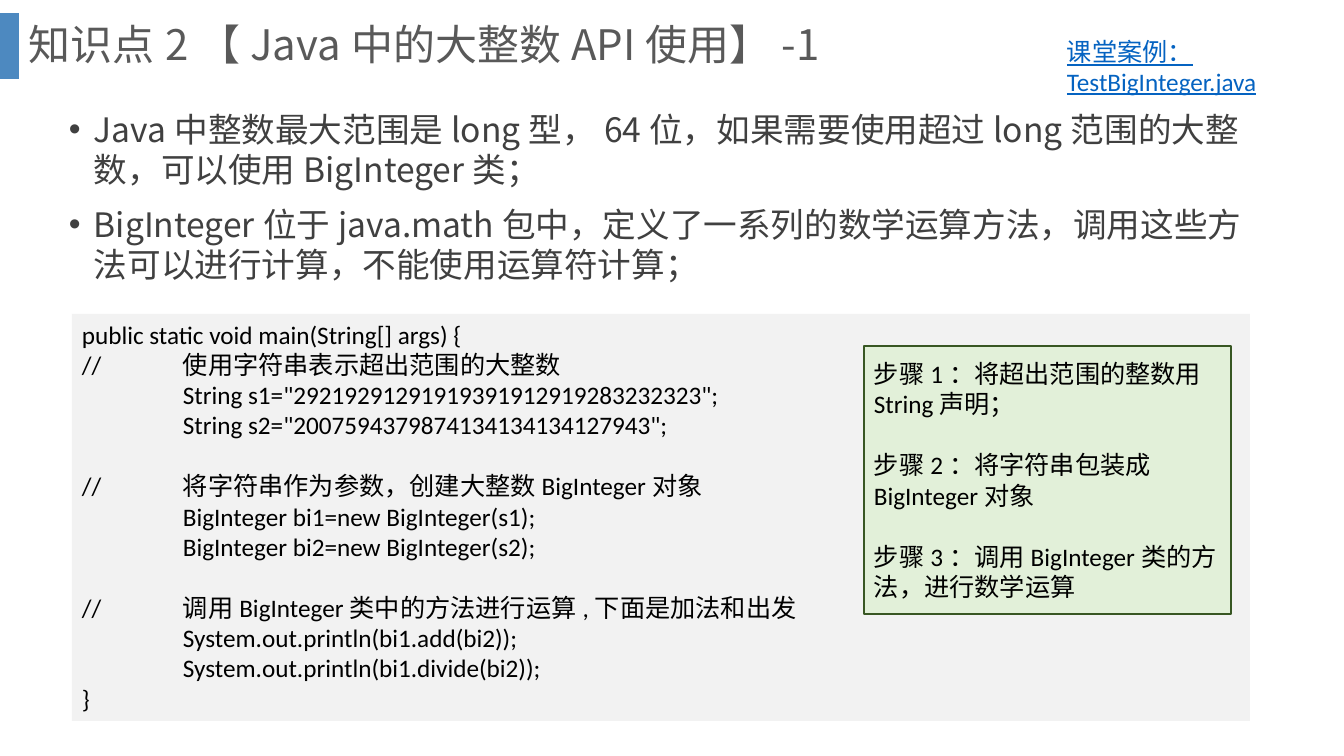
from pptx import Presentation
from pptx.dml.color import RGBColor
from pptx.enum import shapes, text
from pptx.oxml import ns, xmlchemy
from pptx.util import Pt

TITLE = "知识点2【Java中的大整数API使用】-1"
POINTS = [
    "Java中整数最大范围是long型，64位，如果需要使用超过long范围的大整数，可以使用BigInteger类；",
    "BigInteger位于java.math包中，定义了一系列的数学运算方法，调用这些方法可以进行计算，不能使用运算符计算；",
]
CODE_BLOCKS = [
    [
        "public static void main(String[] args) {",
        "//\t使用字符串表示超出范围的大整数",
        "\tString s1=\"29219291291919391912919283232323\";",
        "\tString s2=\"2007594379874134134134127943\";",
    ],
    [
        "//\t将字符串作为参数，创建大整数BigInteger对象",
        "\tBigInteger bi1=new BigInteger(s1);",
        "\tBigInteger bi2=new BigInteger(s2);",
    ],
    [
        "//\t调用BigInteger类中的方法进行运算,下面是加法和出发",
        "\tSystem.out.println(bi1.add(bi2));",
        "\tSystem.out.println(bi1.divide(bi2));",
        "}",
    ],
]
STEPS = [
    ["步骤1：将超出范围的整数用String声明；"],
    ["步骤2：将字符串包装成BigInteger对象"],
    ["步骤3：调用BigInteger类的方法，进行数学运算"],
]
EXAMPLE = "课堂案例：TestBigInteger.java"

# Boxes in px: left, top, width, height
SLIDE = (1344, 756)
ACCENT_BOX = (0, 13, 19, 66)
TITLE_BOX = (19, 0, 1276, 94)
POINTS_BOX = (59, 104, 1215, 194)
CODE_BOX = (72, 314, 1178, 407)
EXAMPLE_BOX = (1057, 31, 230, 72)
STEPS_BOX = (864, 346, 367, 268)
BULLET_INDENT = 25
CODE_TAB = 101

ACCENT = RGBColor(0x2E, 0x75, 0xB6)
ACCENT_ALPHA = 85
TITLE_GRAY = RGBColor(0x59, 0x59, 0x59)
BODY_GRAY = RGBColor(0x40, 0x40, 0x40)
BLACK = RGBColor(0, 0, 0)
LINK_BLUE = RGBColor(0x05, 0x63, 0xC1)
CODE_FILL = RGBColor(0xF2, 0xF2, 0xF2)
STEPS_FILL = RGBColor(0xE2, 0xF0, 0xD9)
STEPS_LINE = RGBColor(0x38, 0x57, 0x23)

CJK_FONT = "Noto Sans CJK SC"
LATIN_FONT = "Calibri"
BLOCK_GAP = Pt(22)


def px(n):
    return round(n * 914400 / 100.8)


def add_child(parent, tag, **attrs):
    child = xmlchemy.OxmlElement(tag)
    for name, value in attrs.items():
        child.set(name, str(value))
    parent.append(child)
    return child


def add_rect(slide, box, fill, line=None):
    sp = slide.shapes.add_shape(shapes.MSO_SHAPE.RECTANGLE, *map(px, box))
    sp.shadow.inherit = False
    sp.fill.solid()
    sp.fill.fore_color.rgb = fill
    if line is None:
        sp.line.fill.background()
    else:
        sp.line.color.rgb = line
        sp.line.width = Pt(1)
    return sp


def add_textbox(slide, box):
    return slide.shapes.add_textbox(*map(px, box))


def write(sp, lines, size, color, font=LATIN_FONT, anchor=text.MSO_ANCHOR.TOP):
    """Put one left-aligned paragraph per line into sp; return the paragraphs."""
    tf = sp.text_frame
    tf.word_wrap = True
    tf.vertical_anchor = anchor
    for i, line in enumerate(lines):
        p = tf.paragraphs[0] if i == 0 else tf.add_paragraph()
        p.alignment = text.PP_ALIGN.LEFT
        r = p.add_run()
        r.text = line
        r.font.size = Pt(size)
        r.font.name = font
        r.font.color.rgb = color
        add_child(r.font._element, "a:ea", typeface=CJK_FONT)
    return tf.paragraphs


def write_blocks(sp, blocks, **style):
    """Write blocks of lines with one line's gap between; return the paragraphs."""
    lines = [line for block in blocks for line in block]
    paragraphs = write(sp, lines, 18, BLACK, **style)
    start = 0
    for block in blocks[:-1]:
        start += len(block)
        paragraphs[start].space_before = BLOCK_GAP
    return paragraphs


def add_bullet(p):
    p_pr = p._p.get_or_add_pPr()
    p_pr.set("marL", str(px(BULLET_INDENT)))
    p_pr.set("indent", str(-px(BULLET_INDENT)))
    add_child(p_pr, "a:buFont", typeface="Arial")
    add_child(p_pr, "a:buChar", char="•")


def add_tab_stop(p, position):
    tabs = add_child(p._p.get_or_add_pPr(), "a:tabLst")
    add_child(tabs, "a:tab", pos=px(position), algn="l")


def main():
    prs = Presentation()
    prs.slide_width, prs.slide_height = map(px, SLIDE)
    slide = prs.slides.add_slide(prs.slide_layouts[6])

    accent = add_rect(slide, ACCENT_BOX, ACCENT)
    color = accent.fill._xPr.find(ns.qn("a:solidFill"))[0]
    add_child(color, "a:alpha", val=ACCENT_ALPHA * 1000)

    title = add_textbox(slide, TITLE_BOX)
    write(title, [TITLE], 30, TITLE_GRAY, CJK_FONT,
          text.MSO_ANCHOR.MIDDLE)[0].line_spacing = 0.9

    points = add_textbox(slide, POINTS_BOX)
    for p in write(points, POINTS, 24, BODY_GRAY, CJK_FONT):
        p.space_before = Pt(10)
        add_bullet(p)

    code = add_rect(slide, CODE_BOX, CODE_FILL)
    for p in write_blocks(code, CODE_BLOCKS):
        add_tab_stop(p, CODE_TAB)

    example = add_textbox(slide, EXAMPLE_BOX)
    for p in write(example, [EXAMPLE], 18, LINK_BLUE):
        p.runs[0].font.underline = True

    write_blocks(add_rect(slide, STEPS_BOX, STEPS_FILL, STEPS_LINE), STEPS,
                 anchor=text.MSO_ANCHOR.MIDDLE)

    prs.save("out.pptx")


if __name__ == "__main__":
    main()
